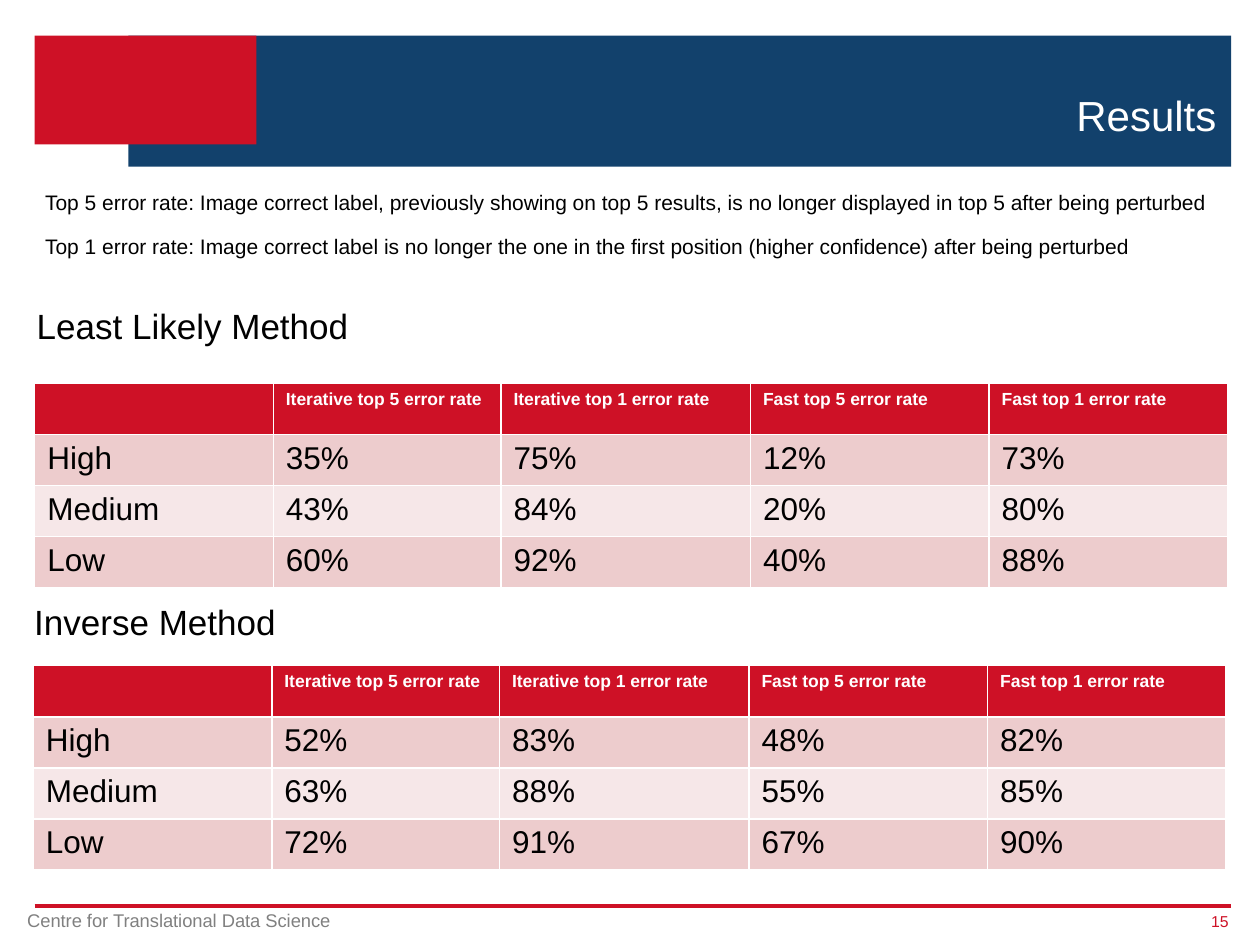
from pptx import Presentation
from pptx.dml.color import RGBColor
from pptx.enum.shapes import MSO_CONNECTOR, MSO_SHAPE
from pptx.enum.text import MSO_ANCHOR as ANCHOR, PP_ALIGN as ALIGN
from pptx.oxml.ns import qn
from pptx.util import Cm, Pt
from lxml.etree import SubElement

FONT = "Arial"
COLORS = {"navy": "12416C", "red": "CE1126", "white": "FFFFFF", "black": "000000",
          "gray": "808080", "band_dark": "EDCCCD", "band_light": "F6E7E8"}

TITLE = "Results"
FOOTER = "Centre for Translational Data Science"
PAGE = "15"
DEFINITIONS = [
    "Top 5 error rate: Image correct label, previously showing on top 5 results, "
    "is no longer displayed in top 5 after being perturbed",
    "Top 1 error rate: Image correct label is no longer the one in the first position "
    "(higher confidence) after being perturbed",
]
HEADER = ["", "Iterative top 5 error rate", "Iterative top 1 error rate",
          "Fast top 5 error rate", "Fast top 1 error rate"]
# heading, heading left and top, table left and top, rows
METHODS = [
    ("Least Likely Method", (0.74, 5.99), (0.7, 7.73), [
        ["High", "35%", "75%", "12%", "73%"],
        ["Medium", "43%", "84%", "20%", "80%"],
        ["Low", "60%", "92%", "40%", "88%"]]),
    ("Inverse Method", (0.69, 11.96), (0.67, 13.42), [
        ["High", "52%", "83%", "48%", "82%"],
        ["Medium", "63%", "88%", "55%", "85%"],
        ["Low", "72%", "91%", "67%", "90%"]]),
]
COL_WIDTHS = [4.81, 4.59, 5.03, 4.81, 4.81]
ROW_HEIGHT = 1.03


def rgb(name):
    return RGBColor.from_string(COLORS[name])


def style(p, size, color, bold=False):
    for r in p.runs:
        r.font.name, r.font.size, r.font.bold = FONT, Pt(size), bold
        r.font.color.rgb = rgb(color)


def add_block(s, box, color):
    sp = s.shapes.add_shape(MSO_SHAPE.RECTANGLE, *map(Cm, box))
    sp.shadow.inherit = False
    sp.fill.solid()
    sp.fill.fore_color.rgb = rgb(color)
    sp.line.fill.background()


def add_text(s, text, box, size, color, align=ALIGN.LEFT, anchor=ANCHOR.TOP,
             spacing=None, inset=True, wrap=True):
    tf = s.shapes.add_textbox(*map(Cm, box)).text_frame
    tf.word_wrap, tf.vertical_anchor = wrap, anchor
    if not inset:
        tf.margin_left = tf.margin_right = tf.margin_top = tf.margin_bottom = 0
    tf.text = text
    p = tf.paragraphs[0]
    p.alignment = align
    if spacing:
        p.line_spacing = Pt(spacing)
    style(p, size, color)


def add_results(s, left, top, rows):
    grid = [HEADER] + rows
    frame = s.shapes.add_table(len(grid), len(HEADER), Cm(left), Cm(top),
                               Cm(sum(COL_WIDTHS)), Cm(ROW_HEIGHT * len(grid)))
    table = frame.table
    for col, width in zip(table.columns, COL_WIDTHS):
        col.width = Cm(width)
    for i, values in enumerate(grid):
        table.rows[i].height = Cm(ROW_HEIGHT)
        fill = "red" if i == 0 else "band_dark" if i % 2 else "band_light"
        for j, value in enumerate(values):
            cell = table.cell(i, j)
            cell.fill.solid()
            cell.fill.fore_color.rgb = rgb(fill)
            cell.text = value
            p = cell.text_frame.paragraphs[0]
            if i == 0:
                p.font.size = Pt(10)
                style(p, 10, "white", bold=True)
            else:
                style(p, 18, "black")


prs = Presentation()
prs.slide_width, prs.slide_height = Cm(25.4), Cm(19.05)
s = prs.slides.add_slide(prs.slide_layouts[6])

# Banner and title
add_block(s, (2.59, 0.72, 22.23, 2.64), "navy")
add_block(s, (0.7, 0.72, 4.47, 2.19), "red")
add_text(s, TITLE, (5.16, 1.19, 19.61, 1.75), 24, "white",
         ALIGN.RIGHT, ANCHOR.BOTTOM, spacing=25)

# Footer
rule = s.shapes.add_connector(MSO_CONNECTOR.STRAIGHT, Cm(0.7), Cm(18.27), Cm(24.82), Cm(18.27))
rule.line.color.rgb = rgb("red")
rule.line.width = Pt(2.25)
SubElement(rule._element.spPr, qn("a:effectLst"))
add_text(s, FOOTER, (0.3, 18.21, 6.76, 0.71), 10.5, "gray", wrap=False)
add_text(s, PAGE, (24.08, 18.29, 0.69, 0.58), 9, "red",
         ALIGN.RIGHT, ANCHOR.MIDDLE, inset=False)

# Definitions
for i, text in enumerate(DEFINITIONS):
    add_text(s, text, (0.66, 3.7 + 0.88 * i, 24, 0.77), 12, "black")

# Method headings and tables
for heading, head_at, table_at, rows in METHODS:
    add_text(s, heading, (*head_at, 24.05, 1.35), 20, "black",
             anchor=ANCHOR.MIDDLE, spacing=18, inset=False)
    add_results(s, *table_at, rows)

prs.save("out.pptx")
